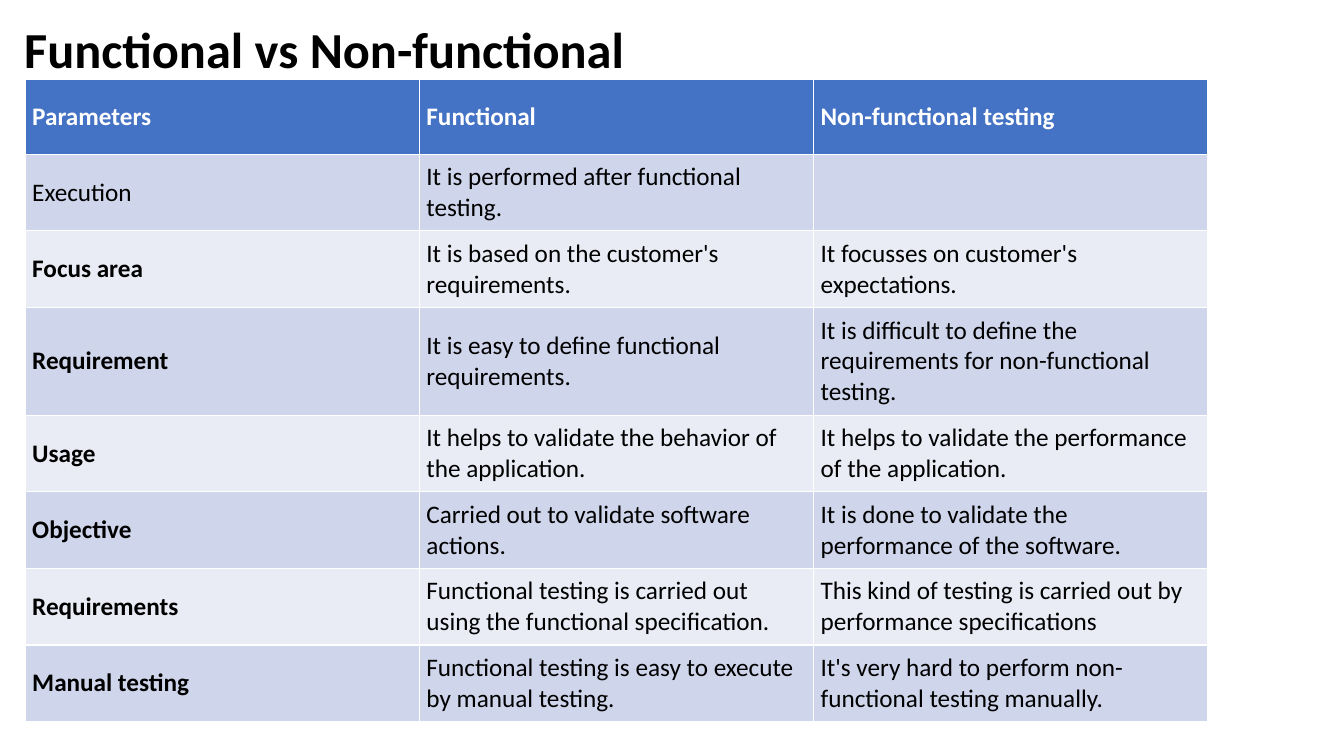
import pptx
import pptx.util
import pptx.dml.color
import pptx.enum.text

Inches = pptx.util.Inches
Pt = pptx.util.Pt

TITLE = "Functional vs Non-functional"
ROWS = [
    ("Parameters", "Functional", "Non-functional testing"),
    ("Execution", "It is performed after functional testing.", ""),
    ("Focus area", "It is based on the customer's requirements.",
     "It focusses on customer's expectations."),
    ("Requirement", "It is easy to define functional requirements.",
     "It is difficult to define the requirements for non-functional testing."),
    ("Usage", "It helps to validate the behavior of the application.",
     "It helps to validate the performance of the application."),
    ("Objective", "Carried out to validate software actions.",
     "It is done to validate the performance of the software."),
    ("Requirements", "Functional testing is carried out using the functional specification.",
     "This kind of testing is carried out by performance specifications"),
    ("Manual testing", "Functional testing is easy to execute by manual testing.",
     "It's very hard to perform non-functional testing manually."),
]
PLAIN = {"Execution"}
COLORS = {"head": "4472C4", "odd": "CFD5EA", "even": "E9EBF5",
          "dark": "000000", "light": "FFFFFF"}
FONT = "Calibri"
WIDTH, HEIGHT = 13.33, 7.5
LEFT, TOP = 0.25, 0.79
COL = 3.91
HEAD, ROW, TALL = 0.74, 0.76, 1.07
PAD = 0.07


def color(name):
    return pptx.dml.color.RGBColor.from_string(COLORS[name])


def write(frame, text, size, bold, ink):
    frame.vertical_anchor = pptx.enum.text.MSO_ANCHOR.MIDDLE
    para = frame.paragraphs[0]
    para.alignment = pptx.enum.text.PP_ALIGN.LEFT
    run = para.add_run()
    run.text = text
    run.font.name = FONT
    run.font.size = Pt(size)
    run.font.bold = bold
    run.font.color.rgb = color(ink)
    return para


def add_title(slide):
    title = slide.shapes.title
    title.left, title.top = Inches(0.14), Inches(0.14)
    title.width, title.height = Inches(8.31), Inches(0.75)
    title.text_frame.auto_size = pptx.enum.text.MSO_AUTO_SIZE.NONE
    para = write(title.text_frame, TITLE, 36, True, "dark")
    para.line_spacing = 0.9


def add_grid(slide):
    tall = max(range(len(ROWS)), key=lambda i: len(ROWS[i][2]))
    highs = [HEAD] + [TALL if i == tall else ROW for i in range(1, len(ROWS))]
    count = len(ROWS[0])
    table = slide.shapes.add_table(
        len(ROWS), count, Inches(LEFT), Inches(TOP),
        Inches(COL * count), Inches(sum(highs))).table
    for col in table.columns:
        col.width = Inches(COL)
    for i, texts in enumerate(ROWS):
        table.rows[i].height = Inches(highs[i])
        fill = "head" if i == 0 else "odd" if i % 2 else "even"
        for j, text in enumerate(texts):
            cell = table.cell(i, j)
            cell.fill.solid()
            cell.fill.fore_color.rgb = color(fill)
            if not text:
                continue
            cell.margin_left = cell.margin_right = Inches(PAD)
            cell.margin_top = cell.margin_bottom = Inches(PAD)
            cell.vertical_anchor = pptx.enum.text.MSO_ANCHOR.MIDDLE
            bold = i == 0 or (j == 0 and text not in PLAIN)
            write(cell.text_frame, text, 18, bold, "dark" if i else "light")


def main():
    deck = pptx.Presentation()
    deck.slide_width, deck.slide_height = Inches(WIDTH), Inches(HEIGHT)
    slide = deck.slides.add_slide(deck.slide_layouts[5])
    add_title(slide)
    add_grid(slide)
    deck.save("out.pptx")


if __name__ == "__main__":
    main()
